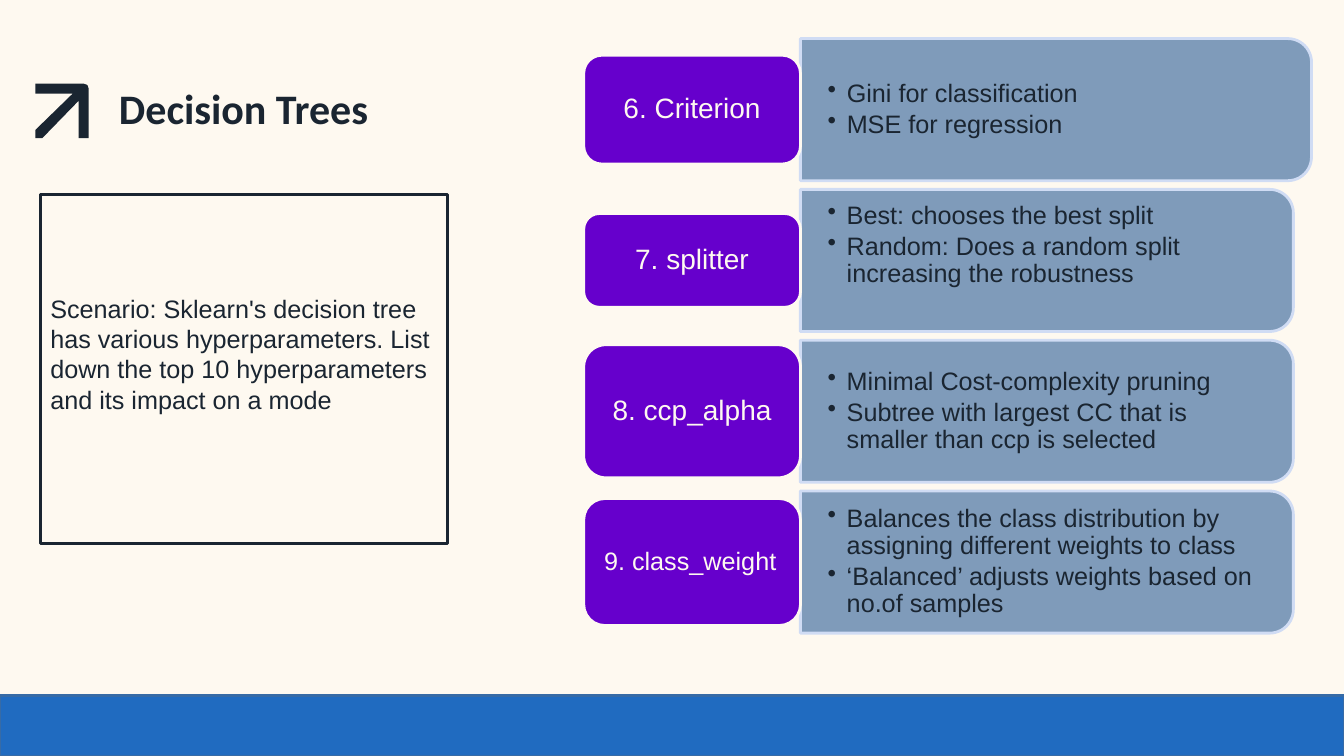
"""Build the Decision Trees hyperparameter slide."""
from pptx import Presentation
from pptx.dml.color import RGBColor
from pptx.enum.shapes import MSO_SHAPE as Shape
from pptx.enum.text import MSO_ANCHOR as Anchor, PP_ALIGN as Align
from pptx.oxml.ns import qn
from pptx.util import Inches, Pt
from lxml.etree import SubElement

WIDTH, HEIGHT = Inches(13.33), Inches(7.5)
COLUMN, ROW = WIDTH / 100, HEIGHT / 100

CREAM = RGBColor(0xFE, 0xF9, 0xF0)
INK = RGBColor(0x1A, 0x25, 0x31)
BLUE = RGBColor(0x20, 0x6B, 0xC0)
BLUE_EDGE = RGBColor(0x37, 0x6B, 0xA6)
PURPLE = RGBColor(0x66, 0x00, 0xCC)
STEEL = RGBColor(0x7F, 0x9B, 0xBA)
PALE = RGBColor(0xD0, 0xDC, 0xF4)

BADGE_LEFT, BADGE_WIDTH = 43.43, 16.13
PANEL_LEFT, PANEL_HEIGHT = 59.55, 18.8
FIRST_CENTER, PITCH = 14.5, 19.95
WIDE, NARROW = 38.03, 36.68
BLANK_LINE = 0.3

ARROW = [(0, 0), (0, 10), (37, 10), (0, 46), (0, 54), (7, 54), (43, 17),
         (43, 54), (53, 54), (53, 5), (52.5, 2.5), (51, 0.8), (48, 0)]

SCENARIO = ("Scenario: Sklearn's decision tree has various hyperparameters. "
            "List down the top 10 hyperparameters and its impact on a mode")

PARAMETERS = [
    ("6. Criterion", 20, Align.CENTER, 14.4, WIDE, 0,
     ["Gini for classification", "MSE for regression"]),
    ("7. splitter", 20, Align.CENTER, 12.4, NARROW, BLANK_LINE,
     ["Best: chooses the best split",
      "Random: Does a random split increasing the robustness"]),
    ("8. ccp_alpha", 20, Align.CENTER, 17.6, NARROW, 0,
     ["Minimal Cost-complexity pruning",
      "Subtree with largest CC that is smaller than ccp is selected"]),
    ("9. class_weight", 18, Align.LEFT, 16.8, NARROW, 0,
     ["Balances the class distribution by assigning different weights to class",
      "‘Balanced’ adjusts weights based on no.of samples"]),
]


def place(left, top, width, height):
    """Turn grid columns and rows into slide lengths."""
    return [int(length) for length in
            (left * COLUMN, top * ROW, width * COLUMN, height * ROW)]


def paint(shape, fill, line=None):
    """Give a shape a flat fill and an optional 2 pt outline."""
    shape.shadow.inherit = False
    shape.fill.solid()
    shape.fill.fore_color.rgb = fill
    if line is None:
        shape.line.fill.background()
    else:
        shape.line.color.rgb = line
        shape.line.width = Pt(2)


def add_box(slide, kind, box, fill, line):
    """Add a painted preset shape at a grid position."""
    shape = slide.shapes.add_shape(kind, *place(*box))
    paint(shape, fill, line)
    return shape


def set_frame(shape, side, edge, extra_bottom=0):
    """Wrap the text, centre it vertically and set its insets."""
    frame = shape.text_frame
    frame.word_wrap = True
    frame.vertical_anchor = Anchor.MIDDLE
    frame.margin_left = frame.margin_right = Inches(side)
    frame.margin_top = Inches(edge)
    frame.margin_bottom = Inches(edge + extra_bottom)
    return frame


def style(paragraph, size, color, align=Align.LEFT, name="Arial", bold=False):
    """Set alignment and font of a paragraph."""
    paragraph.alignment = align
    font = paragraph.font
    font.name, font.size, font.bold = name, Pt(size), bold
    font.color.rgb = color


def add_bullet(paragraph):
    """Give a paragraph a hanging round bullet and tight spacing."""
    paragraph.line_spacing = 0.9
    paragraph.space_after = Pt(2.7)
    properties = paragraph._p.get_or_add_pPr()
    indent = Inches(0.19)
    properties.set("marL", str(indent))
    properties.set("indent", str(-indent))
    SubElement(properties, qn("a:buChar"), char="•")


def add_arrow(slide):
    """Draw the corner arrow beside the title."""
    builder = slide.shapes.build_freeform(*ARROW[0], scale=Inches(0.01))
    builder.add_line_segments(ARROW[1:], close=True)
    left, top = place(2.63, 11.07, 0, 0)[:2]
    paint(builder.convert_to_shape(left, top), INK)


def add_title(slide):
    """Add the slide title."""
    title = slide.shapes.add_textbox(*place(7.88, 8.67, 34, 11.2))
    paragraph = set_frame(title, 0.13, 0.13).paragraphs[0]
    paragraph.text = "Decision Trees"
    style(paragraph, 30, INK, name="Calibri", bold=True)


def add_scenario(slide):
    """Add the outlined scenario box."""
    box = add_box(slide, Shape.RECTANGLE, (3, 25.73, 30.3, 46.13), CREAM, INK)
    paragraph = set_frame(box, 0.1, 0.05, BLANK_LINE).paragraphs[0]
    paragraph.text = SCENARIO
    style(paragraph, 18, INK)


def add_panel(slide, center, width, extra_bottom, points):
    """Add a panel rounded on its right side, with its bullet points."""
    left, top, across, down = place(
        PANEL_LEFT, center - PANEL_HEIGHT / 2, width, PANEL_HEIGHT)
    shift = (across - down) // 2
    panel = slide.shapes.add_shape(
        Shape.ROUND_2_SAME_RECTANGLE, left + shift, top - shift, down, across)
    panel.rotation = 90
    paint(panel, STEEL, PALE)

    text = slide.shapes.add_textbox(left, top, int(across - COLUMN / 2), down)
    frame = set_frame(text, 0.27, 0.14, extra_bottom)
    for index, point in enumerate(points):
        paragraph = frame.add_paragraph() if index else frame.paragraphs[0]
        paragraph.text = point
        add_bullet(paragraph)
        style(paragraph, 18, INK)


def add_badge(slide, center, height, name, size, align):
    """Add the purple badge that names a hyperparameter."""
    badge = add_box(slide, Shape.ROUNDED_RECTANGLE,
                    (BADGE_LEFT, center - height / 2, BADGE_WIDTH, height),
                    PURPLE, CREAM)
    paragraph = set_frame(badge, 0.14, 0.1).paragraphs[0]
    paragraph.text = name
    paragraph.line_spacing = 0.9
    style(paragraph, size, CREAM, align)


def main():
    """Build and save the slide."""
    presentation = Presentation()
    presentation.slide_width, presentation.slide_height = WIDTH, HEIGHT
    slide = presentation.slides.add_slide(presentation.slide_layouts[6])
    slide.background.fill.solid()
    slide.background.fill.fore_color.rgb = CREAM

    add_arrow(slide)
    add_title(slide)
    add_scenario(slide)
    add_box(slide, Shape.RECTANGLE, (0, 92, 100, 8), BLUE, BLUE_EDGE)
    for row, parameter in enumerate(PARAMETERS):
        name, size, align, height, width, extra_bottom, points = parameter
        center = FIRST_CENTER + row * PITCH
        add_panel(slide, center, width, extra_bottom, points)
        add_badge(slide, center, height, name, size, align)

    presentation.save("out.pptx")


if __name__ == "__main__":
    main()
